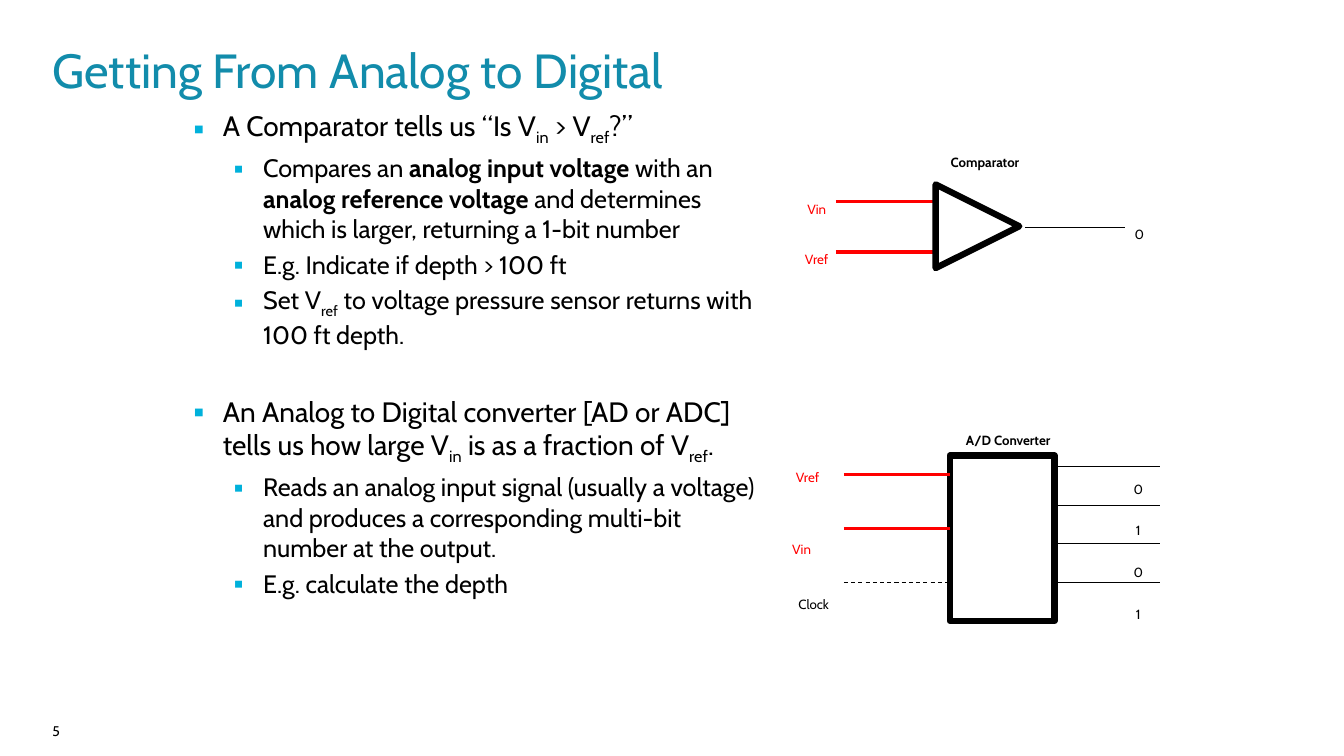
from lxml.etree import SubElement
from pptx import Presentation
from pptx.dml.color import RGBColor
from pptx.enum.dml import MSO_LINE
from pptx.enum.shapes import MSO_CONNECTOR, MSO_SHAPE
from pptx.enum.text import MSO_ANCHOR, PP_ALIGN
from pptx.oxml.ns import qn
from pptx.util import Inches, Pt

FONT = "Cabin"
BLACK, WHITE, RED, TEAL, CYAN = "000000", "FFFFFF", "FF0000", "128CAB", "00B1DB"
LABEL_SIZE = 9.5

# (level, points before, runs as (text, style))
BULLETS = [
    (0, 4, [("A Comparator tells us “Is V", ""), ("in", "sub"), (" > V", ""),
            ("ref", "sub"), ("?”", "")]),
    (1, 4, [("Compares an ", ""), ("analog input voltage ", "bold"), ("with an ", ""),
            ("analog reference voltage ", "bold"),
            ("and determines which is larger, returning a 1-bit number", "")]),
    (1, 4, [("E.g. Indicate if depth > 100 ft", "")]),
    (1, 4, [("Set V", ""), ("ref", "sub"),
            (" to voltage pressure sensor returns with 100 ft depth.", "")]),
    (0, 32, [("An Analog to Digital converter [AD or ADC] tells us how large V", ""),
             ("in", "sub"), (" is as a fraction of V", ""), ("ref", "sub"), (".", "")]),
    (1, 4, [("Reads an analog input signal (usually a voltage) and produces "
             "a corresponding multi-bit number at the output.", "")]),
    (1, 4, [("E.g. calculate the depth", "")]),
]


def rgb(color):
    return RGBColor.from_string(color)


def style_run(r, size, color, style=""):
    r.font.name, r.font.size = FONT, Pt(size)
    r.font.color.rgb = rgb(color)
    r.font.bold = style == "bold"
    if style == "sub":
        r._r.get_or_add_rPr().set("baseline", "-25000")


def add_frame(slide, box, anchor=MSO_ANCHOR.TOP):
    tf = slide.shapes.add_textbox(*map(Inches, box)).text_frame
    tf.margin_left = tf.margin_right = tf.margin_top = tf.margin_bottom = 0
    tf.word_wrap = True
    tf.vertical_anchor = anchor
    return tf


def add_text(slide, box, text, size, color, style="", align=PP_ALIGN.LEFT,
             anchor=MSO_ANCHOR.TOP):
    p = add_frame(slide, box, anchor).paragraphs[0]
    p.text, p.alignment = text, align
    style_run(p.runs[0], size, color, style)


def add_label(slide, cx, cy, text, color=BLACK, style=""):
    """Small diagram label centred on a point."""
    w, h = 1.2, 0.2
    add_text(slide, (cx - w / 2, cy - h / 2, w, h), text, LABEL_SIZE, color, style,
             PP_ALIGN.CENTER, MSO_ANCHOR.MIDDLE)


def add_wire(slide, x1, x2, y, color=BLACK, width=0.75, dash=None):
    ln = slide.shapes.add_connector(MSO_CONNECTOR.STRAIGHT, *map(Inches, (x1, y, x2, y)))
    ln.line.color.rgb = rgb(color)
    ln.line.width = Pt(width)
    if dash:
        ln.line.dash_style = dash
    SubElement(ln._element.spPr, qn("a:effectLst"))


def add_block(slide, kind, box, fill=None):
    sp = slide.shapes.add_shape(kind, *map(Inches, box))
    sp.shadow.inherit = False
    if fill:
        sp.fill.solid()
        sp.fill.fore_color.rgb = rgb(fill)
    else:
        sp.fill.background()
    sp.line.color.rgb = rgb(BLACK)
    sp.line.width = Pt(4.5)
    return sp


def set_bullet(p, level):
    pPr = p._p.get_or_add_pPr()
    pPr.set("marL", str(Inches(0.29 + 0.4 * level)))
    pPr.set("indent", str(Inches(-0.29)))
    clr = SubElement(pPr, qn("a:buClr"))
    SubElement(clr, qn("a:srgbClr")).set("val", CYAN)
    SubElement(pPr, qn("a:buSzPct")).set("val", "95000")
    SubElement(pPr, qn("a:buFont")).set("typeface", FONT)
    SubElement(pPr, qn("a:buChar")).set("char", "▪")


def add_bullets(slide, box):
    tf = add_frame(slide, box)
    for i, (level, before, runs) in enumerate(BULLETS):
        p = tf.add_paragraph() if i else tf.paragraphs[0]
        p.level, p.space_before = level, Pt(before)
        set_bullet(p, level)
        for text, style in runs:
            r = p.add_run()
            r.text = text
            style_run(r, 20 - 2 * level, BLACK, style)


def add_comparator(slide, box):
    x, y, w, h = box
    wire = 0.99
    for name, dy, label_dy in (("Vin", 0.17, 0.25), ("Vref", 0.67, 0.74)):
        add_wire(slide, x - wire, x, y + dy, RED, 2.25)
        add_label(slide, x - 1.18, y + label_dy, name, RED)
    add_wire(slide, x + w + 0.06, x + w + 0.06 + wire, y + 0.43)
    add_label(slide, x + w + 1.19, y + 0.49, "0")
    add_block(slide, MSO_SHAPE.ISOSCELES_TRIANGLE, box).rotation = 90
    add_label(slide, x + 0.49, y - 0.22, "Comparator", style="bold")


def add_converter(slide, box):
    x, y, w, h = box
    wire = 1.05
    add_block(slide, MSO_SHAPE.RECTANGLE, box, WHITE)
    inputs = (("Vref", 0.19, -1.41, 0.21, RED, 2.25, None),
              ("Vin", 0.72, -1.47, 0.93, RED, 2.25, None),
              ("Clock", 1.26, -1.35, 1.47, BLACK, 0.75, MSO_LINE.DASH))
    for name, dy, label_dx, label_dy, color, width, dash in inputs:
        add_wire(slide, x - wire, x, y + dy, color, width, dash)
        add_label(slide, x + label_dx, y + label_dy, name, color)
    for i, bit in enumerate("0101"):
        add_wire(slide, x + w, x + w + wire, y + 0.11 + 0.383 * i)
        add_label(slide, x + w + 0.83, y + 0.33 + 0.413 * i, bit)
    add_label(slide, x + 0.58, y - 0.15, "A/D Converter", style="bold")


def main():
    prs = Presentation()
    prs.slide_width, prs.slide_height = Inches(13.33), Inches(7.5)
    slide = prs.slides.add_slide(prs.slide_layouts[6])
    add_text(slide, (0.52, 0.37, 12.21, 0.63), "Getting From Analog to Digital",
             34.2, TEAL, anchor=MSO_ANCHOR.MIDDLE)
    add_bullets(slide, (1.92, 1.08, 5.66, 5))
    add_comparator(slide, (9.28, 1.83, 0.83, 0.83))
    add_converter(slide, (9.42, 4.52, 1.04, 1.64))
    add_text(slide, (0.52, 7.17, 1.43, 0.26), "5", 10, BLACK)
    prs.save("out.pptx")


if __name__ == "__main__":
    main()
